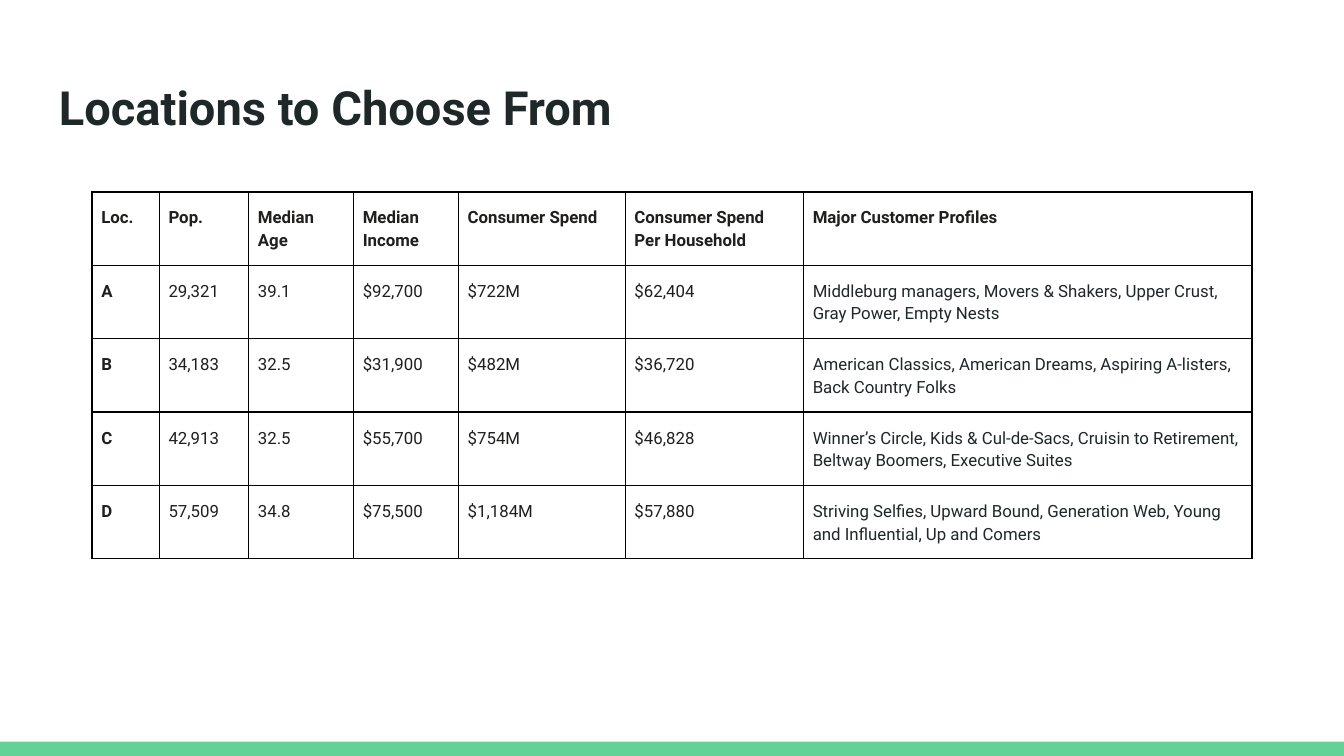
from dataclasses import dataclass

from lxml import etree
from pptx import Presentation
from pptx.dml.color import RGBColor
from pptx.enum import shapes, text
from pptx.oxml import ns
from pptx.util import Pt


@dataclass(frozen=True)
class Theme:
    font: str = "Roboto"
    title_size: float = 25.2
    table_size: float = 9
    ink: str = "202729"
    table_ink: str = "201F1E"
    paper: str = "FFFFFF"
    accent: str = "63D297"
    border: str = "000000"


theme = Theme()


def add_run(p, content, size, color, bold):
    r = p.add_run()
    r.text = content
    r.font.name = theme.font
    r.font.size = Pt(size)
    r.font.bold = bold
    r.font.color.rgb = RGBColor.from_string(color)


def add_borders(cell):
    """Draw a thin line on all four sides; lines must precede the fill."""
    props = cell._tc.get_or_add_tcPr()
    for i, side in enumerate(("lnL", "lnR", "lnT", "lnB")):
        line = etree.Element(ns.qn(f"a:{side}"), w=str(Pt(0.75)))
        fill = etree.SubElement(line, ns.qn("a:solidFill"))
        etree.SubElement(fill, ns.qn("a:srgbClr"), val=theme.border)
        props.insert(i, line)


prs = Presentation()
prs.slide_width, prs.slide_height = Pt(720), Pt(405)
s = prs.slides.add_slide(prs.slide_layouts[6])
s.background.fill.solid()
s.background.fill.fore_color.rgb = RGBColor.from_string(theme.paper)

# Footer bar
bar = s.shapes.add_shape(shapes.MSO_SHAPE.RECTANGLE, Pt(0), Pt(397.4), Pt(720), Pt(7.6))
bar.shadow.inherit = False
bar.fill.solid()
bar.fill.fore_color.rgb = RGBColor.from_string(theme.accent)
bar.line.fill.background()

# Title
title = s.shapes.add_textbox(Pt(24.5), Pt(35), Pt(671), Pt(45.4))
tf = title.text_frame
tf.word_wrap = True
tf.vertical_anchor = text.MSO_ANCHOR.TOP
tf.margin_left = tf.margin_right = tf.margin_top = tf.margin_bottom = Pt(7.2)
add_run(tf.paragraphs[0], "Locations to Choose From", theme.title_size, theme.ink, True)

# Locations table: a newline starts a new paragraph
rows = [
    ("Loc.", "Pop.", "Median\nAge", "Median\nIncome", "Consumer Spend",
     "Consumer Spend Per Household", "Major Customer Profiles"),
    ("A", "29,321", "39.1", "$92,700", "$722M", "$62,404",
     "Middleburg managers, Movers & Shakers, Upper Crust, Gray Power, Empty Nests"),
    ("B", "34,183", "32.5", "$31,900", "$482M", "$36,720",
     "American Classics, American Dreams, Aspiring A-listers, Back Country Folks"),
    ("C", "42,913", "32.5", "$55,700", "$754M", "$46,828",
     "Winner’s Circle, Kids & Cul-de-Sacs, Cruisin to Retirement, "
     "Beltway Boomers, Executive Suites"),
    ("D", "57,509", "34.8", "$75,500", "$1,184M", "$57,880",
     "Striving Selfies, Upward Bound, Generation Web, Young and Influential, "
     "Up and Comers"),
]
widths = [36, 47.9, 56.2, 56.2, 89.4, 95.5, 240.3]
row_height = 38.65
table = s.shapes.add_table(len(rows), len(widths), Pt(49.3), Pt(102.8),
                           Pt(sum(widths)), Pt(row_height * len(rows))).table
for column, width in zip(table.columns, widths):
    column.width = Pt(width)

for i, row in enumerate(rows):
    table.rows[i].height = Pt(row_height)
    for j, content in enumerate(row):
        cell = table.cell(i, j)
        cell.margin_left = cell.margin_right = Pt(5)
        cell.margin_top = cell.margin_bottom = Pt(7.2)
        cell.fill.solid()
        cell.fill.fore_color.rgb = RGBColor.from_string(theme.paper)
        add_borders(cell)
        is_profile = i > 0 and j == len(widths) - 1
        color = theme.ink if is_profile else theme.table_ink
        tf = cell.text_frame
        for k, line in enumerate(content.split("\n")):
            p = tf.add_paragraph() if k else tf.paragraphs[0]
            p.line_spacing = 1.15
            add_run(p, line, theme.table_size, color, i == 0 or j == 0)

prs.save("out.pptx")
